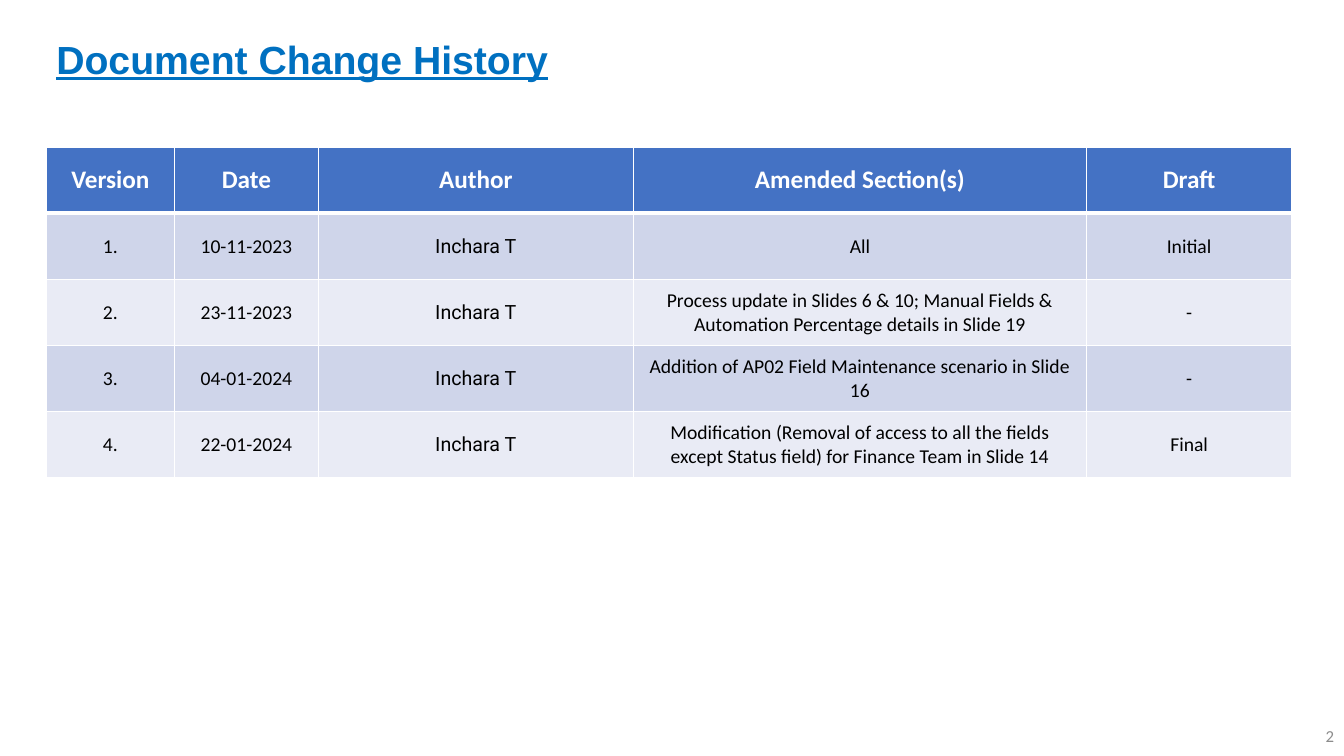
from lxml import etree
from pptx import Presentation
from pptx import util as u
from pptx.dml.color import RGBColor
from pptx.enum import text
from pptx.oxml import ns

COLOURS = {
    "title": "0070C0",
    "header": "4472C4",
    "odd": "CFD5EA",
    "even": "E9EBF5",
    "white": "FFFFFF",
    "black": "000000",
    "grey": "8C8C8C",
}
COLUMN_WIDTHS = [1.27, 1.43, 3.12, 4.5, 2.03]
AUTHOR_COLUMN = 2
HISTORY = [
    ["Version", "Date", "Author", "Amended Section(s)", "Draft"],
    ["1.", "10-11-2023", "Inchara T", "All", "Initial"],
    ["2.", "23-11-2023", "Inchara T",
     "Process update in Slides 6 & 10; Manual Fields & Automation Percentage details in Slide 19", "-"],
    ["3.", "04-01-2024", "Inchara T", "Addition of AP02 Field Maintenance scenario in Slide 16", "-"],
    ["4.", "22-01-2024", "Inchara T",
     "Modification (Removal of access to all the fields except Status field) for Finance Team in Slide 14",
     "Final"],
]


def write(frame, words, font, size, colour, align, bold=False):
    """Fill a text frame with one formatted paragraph and return the paragraph."""
    frame.text = words
    frame.word_wrap = True
    para = frame.paragraphs[0]
    para.alignment = align
    span = para.runs[0]
    span.font.name = font
    span.font.size = u.Pt(size)
    span.font.bold = bold
    span.font.color.rgb = RGBColor.from_string(COLOURS[colour])
    return para


def add_text(page, box, *style, **options):
    """Add a vertically centred text box and return its paragraph."""
    frame = page.shapes.add_textbox(*map(u.Inches, box)).text_frame
    frame.vertical_anchor = text.MSO_ANCHOR.MIDDLE
    return write(frame, *style, **options)


def add_title(page, box):
    """Add the underlined slide title."""
    para = add_text(page, box, "Document Change History", "Arial", 28, "title",
                    text.PP_ALIGN.LEFT, bold=True)
    para.line_spacing = 0.8
    para.runs[0].font.underline = True


def set_borders(cell, bottom, top):
    """Draw white cell borders with the given bottom and top widths in points."""
    properties = cell._tc.get_or_add_tcPr()
    sides = {"a:lnL": 1, "a:lnR": 1, "a:lnT": top, "a:lnB": bottom}
    for index, (side, width) in enumerate(sides.items()):
        line = etree.Element(ns.qn(side), w=str(u.Pt(width)))
        fill = etree.SubElement(line, ns.qn("a:solidFill"))
        etree.SubElement(fill, ns.qn("a:srgbClr"), val=COLOURS["white"])
        properties.insert(index, line)


def add_history(page, box):
    """Add the table of document versions."""
    table = page.shapes.add_table(len(HISTORY), len(COLUMN_WIDTHS), *map(u.Inches, box)).table
    for column, width in zip(table.columns, COLUMN_WIDTHS):
        column.width = u.Inches(width)
    for row, entries in enumerate(HISTORY):
        header = row == 0
        shade = "header" if header else "odd" if row % 2 else "even"
        for column, words in enumerate(entries):
            cell = table.cell(row, column)
            cell.vertical_anchor = text.MSO_ANCHOR.MIDDLE
            cell.fill.solid()
            cell.fill.fore_color.rgb = RGBColor.from_string(COLOURS[shade])
            set_borders(cell, bottom=3 if header else 1, top=3 if row == 1 else 1)
            font = "Roboto" if column == AUTHOR_COLUMN and not header else "Calibri"
            write(cell.text_frame, words, font, 18 if header else 14,
                  "white" if header else "black", text.PP_ALIGN.CENTER, bold=header)


def add_page_number(page, box):
    """Add the page number in the bottom right corner."""
    add_text(page, box, "2", "Calibri", 12, "grey", text.PP_ALIGN.RIGHT)


def main():
    """Build the change history slide and save the deck."""
    deck = Presentation()
    deck.slide_width, deck.slide_height = u.Inches(13.33), u.Inches(7.5)
    page = deck.slides.add_slide(deck.slide_layouts[6])
    add_title(page, (0.46, 0.13, 5.95, 0.99))
    add_history(page, (0.46, 1.46, 12.35, 3.28))
    add_page_number(page, (10.33, 7.1, 3, 0.4))
    deck.save("out.pptx")


if __name__ == "__main__":
    main()
